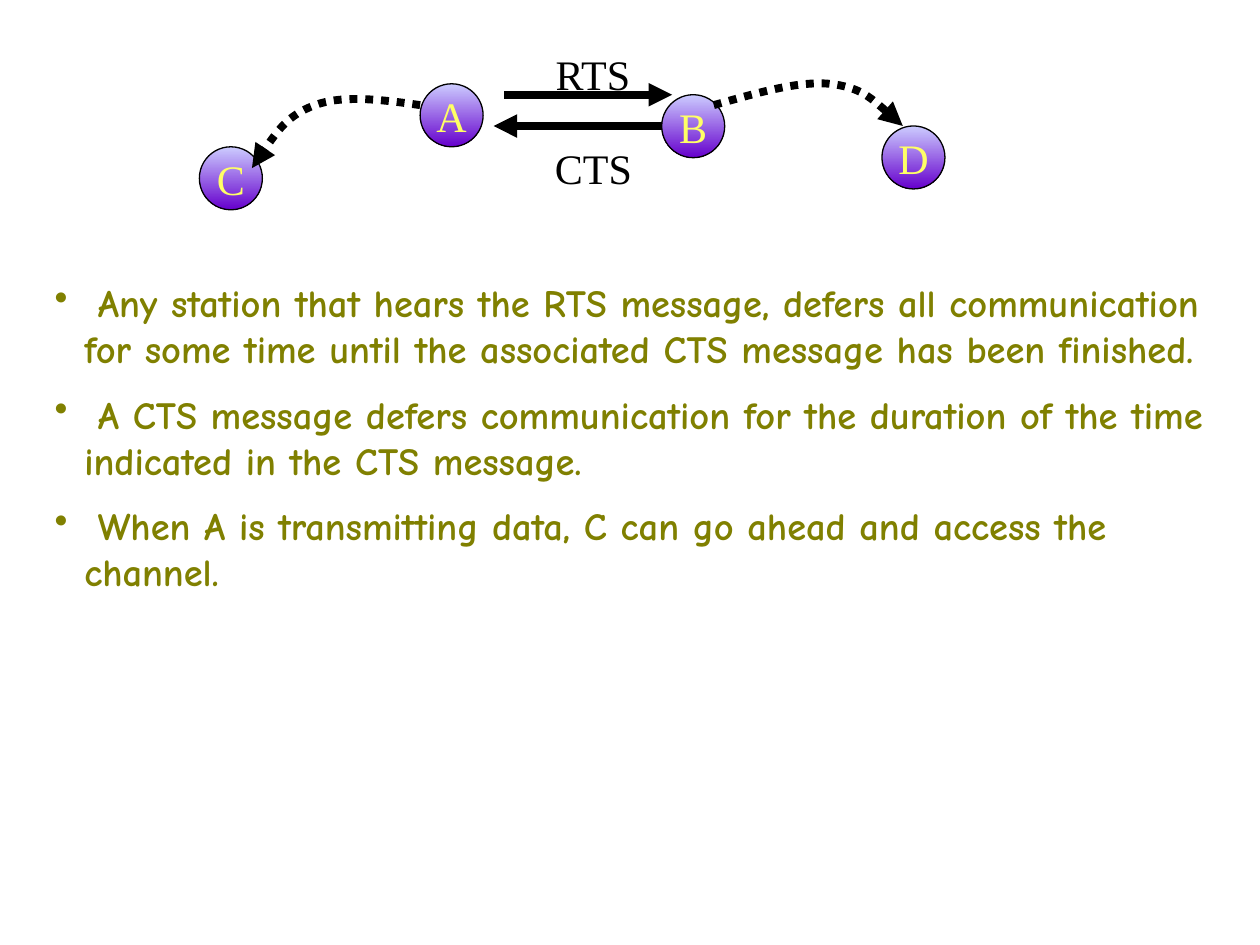
from lxml import etree
from pptx import Presentation
from pptx import util as u
from pptx.dml.color import RGBColor
from pptx.enum import dml, shapes, text
from pptx.oxml.ns import qn

COLORS = {"ink": "000000", "node_top": "CCCCFF", "node_bottom": "6600CC",
          "node_text": "FFFF66", "body": "808000"}
SERIF, COMIC = "Times New Roman", "Comic Neue"
NODE_SIZE = 1.27

NODES = {"A": (8.47, 1.69), "D": (17.78, 2.54), "C": (4.02, 2.96), "B": (13.34, 1.91)}
MESSAGES = [((10.16, 1.91), (13.55, 1.91)), ((13.34, 2.54), (9.95, 2.54))]
# Each curve is a start point followed by three points per Bézier segment.
CURVES = [
    [(8.47, 2.12), (7.7, 2.01), (6.91, 1.91), (6.35, 2.12),
     (5.79, 2.33), (5.44, 2.84), (5.08, 3.39)],
    [(14.39, 2.12), (15.24, 1.88), (16.09, 1.63), (16.72, 1.69),
     (17.36, 1.76), (17.78, 2.16), (18.2, 2.54)],
]
LABELS = [("RTS", 10.58, 0.85, 2.75), ("CTS", 10.8, 2.75, 2.33)]
RULES = [
    " Any station that hears the RTS message, defers all communication for some time "
    "until the associated CTS message has been finished.",
    " A CTS message defers communication for the duration of the time indicated "
    "in the CTS message.",
    " When A is transmitting data, C can go ahead and access the channel.",
]


def rgb(name):
    return RGBColor.from_string(COLORS[name])


def write(p, words, size=24, font=SERIF, color="ink", bold=False, align=None, before=0):
    r = p.add_run()
    r.text = words
    r.font.size, r.font.name, r.font.bold = u.Pt(size), font, bold
    r.font.color.rgb = rgb(color)
    p.alignment = align
    p.space_before = u.Pt(before)


def add_bullet(p, indent):
    pPr = p._p.get_or_add_pPr()
    pPr.set("marL", str(u.Cm(indent)))
    pPr.set("indent", str(-u.Cm(indent)))
    etree.SubElement(pPr, qn("a:buChar"), char="•")


class Diagram:
    """Draws on one slide, keeping the network parts in a group."""

    def __init__(self, slide):
        self.slide = slide
        self.network = slide.shapes.add_group_shape().shapes

    def node(self, name, x, y):
        sp = self.network.add_shape(shapes.MSO_SHAPE.OVAL, u.Cm(x), u.Cm(y),
                                    u.Cm(NODE_SIZE), u.Cm(NODE_SIZE))
        sp.shadow.inherit = False
        sp.fill.gradient()
        sp.fill.gradient_angle = 270
        for stop, position, color in zip(sp.fill.gradient_stops, (0, 1),
                                         ("node_top", "node_bottom")):
            stop.position = position
            stop.color.rgb = rgb(color)
        sp.line.color.rgb = rgb("ink")
        sp.line.width = u.Pt(0.75)
        tf = sp.text_frame
        tf.word_wrap = False
        tf.vertical_anchor = text.MSO_ANCHOR.MIDDLE
        write(tf.paragraphs[0], name, color="node_text", align=text.PP_ALIGN.CENTER)

    def _arrow_line(self, sp, dash=None):
        sp.line.color.rgb = rgb("ink")
        sp.line.width = u.Pt(4.5)
        if dash:
            sp.line.dash_style = dash
        etree.SubElement(sp.line._get_or_add_ln(), qn("a:tailEnd"), type="triangle")

    def arrow(self, start, end):
        x1, y1, x2, y2 = map(u.Cm, (*start, *end))
        sp = self.network.add_connector(shapes.MSO_CONNECTOR.STRAIGHT, x1, y1, x2, y2)
        self._arrow_line(sp)
        etree.SubElement(sp._element.spPr, qn("a:effectLst"))

    def curve(self, points):
        points = [(u.Cm(x), u.Cm(y)) for x, y in points]
        builder = self.network.build_freeform(*points[0])
        builder.add_line_segments(points[1:], close=False)
        sp = builder.convert_to_shape()
        sp.shadow.inherit = False
        sp.fill.background()
        self._arrow_line(sp, dml.MSO_LINE.ROUND_DOT)
        outline = sp._element.spPr.find(".//" + qn("a:path"))
        steps = outline.findall(qn("a:lnTo"))
        for i in range(0, len(steps), 3):
            bezier = etree.SubElement(outline, qn("a:cubicBezTo"))
            for step in steps[i:i + 3]:
                bezier.append(step[0])
                outline.remove(step)

    def _text_box(self, parent, x, y, w, h):
        tf = parent.add_textbox(u.Cm(x), u.Cm(y), u.Cm(w), u.Cm(h)).text_frame
        tf.word_wrap = True
        tf.auto_size = text.MSO_AUTO_SIZE.SHAPE_TO_FIT_TEXT
        return tf

    def label(self, words, x, y, w):
        tf = self._text_box(self.network, x, y, w, 1.27)
        write(tf.paragraphs[0], words, align=text.PP_ALIGN.CENTER, before=12)

    def bullets(self, items, x, y, w, h):
        tf = self._text_box(self.slide.shapes, x, y, w, h)
        for i, item in enumerate(items):
            p = tf.add_paragraph() if i else tf.paragraphs[0]
            write(p, item, size=22, font=COMIC, color="body", bold=True, before=11)
            add_bullet(p, 0.6)


def main():
    prs = Presentation()
    prs.slide_width, prs.slide_height = u.Cm(25.4), u.Cm(19.05)
    s = prs.slides.add_slide(prs.slide_layouts[6])
    diagram = Diagram(s)
    for name, place in NODES.items():
        diagram.node(name, *place)
    for start, end in MESSAGES:
        diagram.arrow(start, end)
    for points in CURVES:
        diagram.curve(points)
    for label in LABELS:
        diagram.label(*label)
    diagram.bullets(RULES, 0.85, 5.5, 23.71, 9.1)
    prs.save("out.pptx")


if __name__ == "__main__":
    main()
